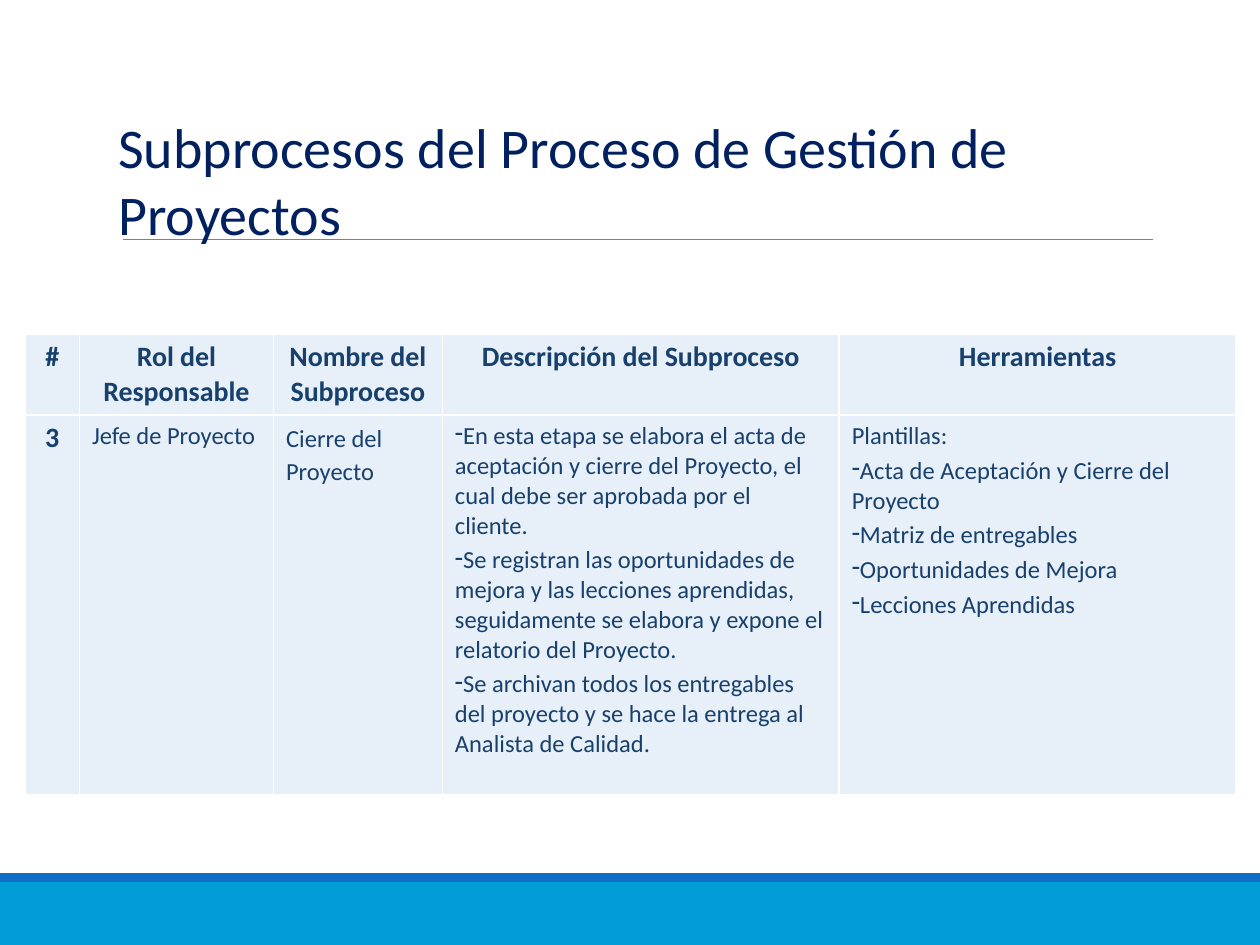
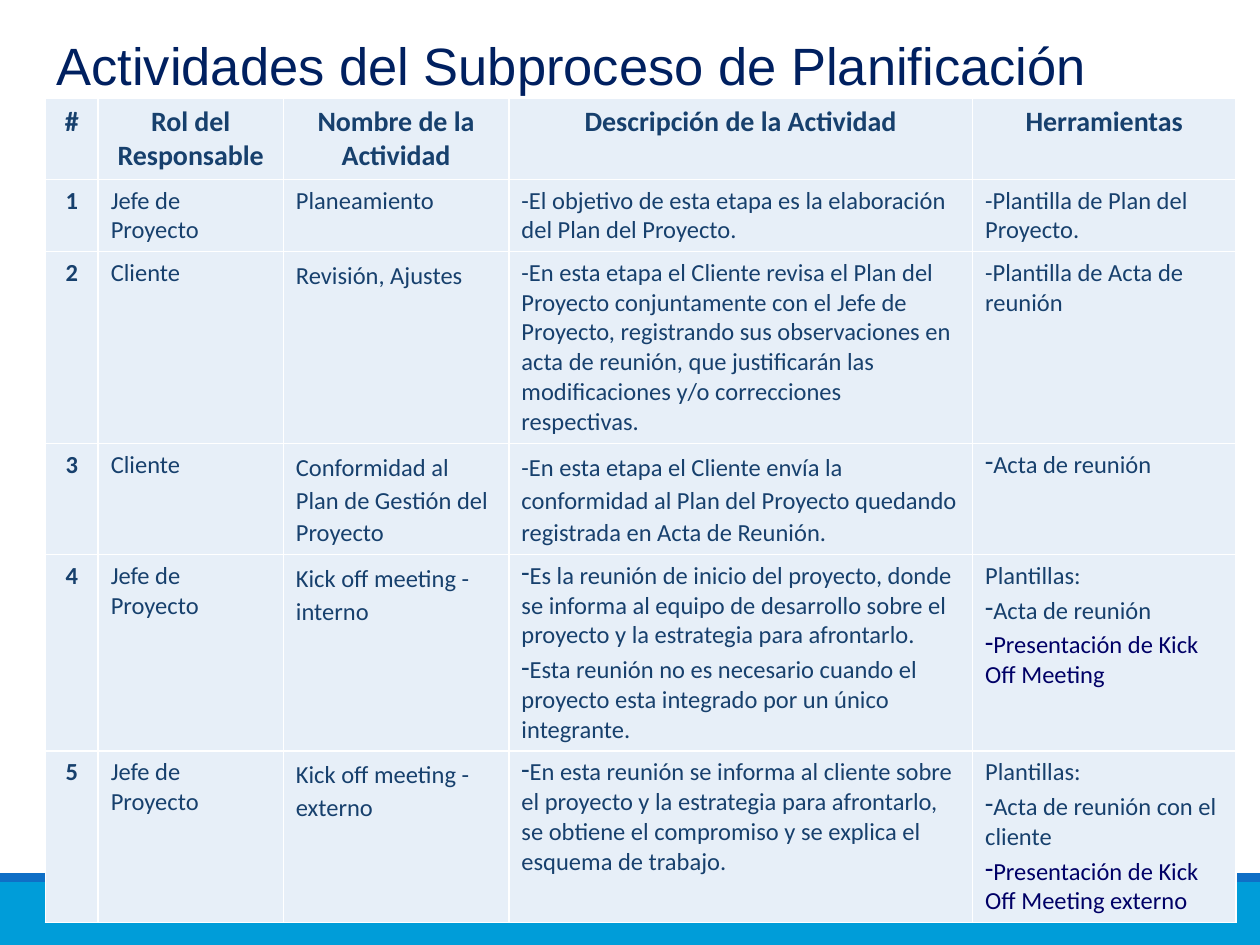
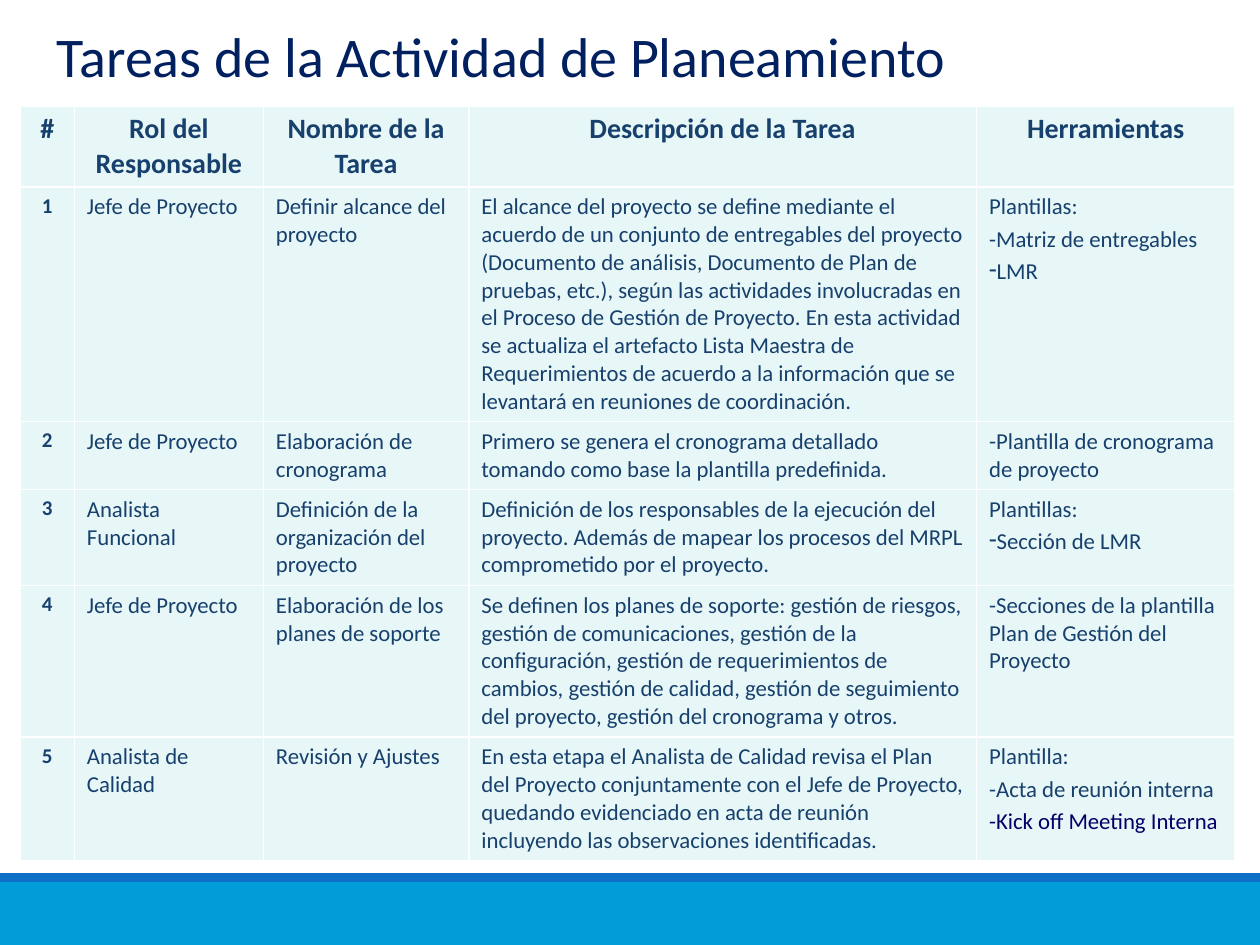
from collections import namedtuple

from lxml import etree
from pptx import Presentation
from pptx import util as u
from pptx.dml.color import RGBColor
from pptx.enum import shapes, text
from pptx.oxml import ns

NAVY = RGBColor(0x00, 0x20, 0x60)
INK = RGBColor(0x17, 0x40, 0x6D)
ACCENT = RGBColor(0x00, 0x00, 0x66)
GRAY = RGBColor(0x80, 0x80, 0x80)
SKY = RGBColor(0x00, 0x9D, 0xD9)
BLUE = RGBColor(0x0F, 0x6F, 0xC6)
PALE_BLUE = RGBColor(0xE7, 0xEF, 0xF8)
PALE_TEAL = RGBColor(0xE7, 0xF7, 0xF8)
BODY_FONT = "Calibri"
HEADER_SIZE = 16
WIDTH, HEIGHT = 720, 540
BANDS = [(504, 36, SKY), (499, 5, BLUE)]

Line = namedtuple("Line", "words bullet loose color", defaults=(False, False, INK))


def dash(words, color=INK):
    return Line(words, bullet=True, color=color)


def loose(words):
    return Line(words, loose=True)


SLIDES = [
    dict(
        title="Subprocesos del Proceso de Gestión de Proyectos",
        title_box=(60.5, 60.5, 599, 84), title_font=("Calibri", 32),
        rule=(70.5, 659, 137),
        corner=(14.4, 190.8), columns=[31, 110.9, 96.5, 226.8, 226.8],
        rows=[45.7, 217.2], fill=PALE_BLUE, number_size=16, body_size=14,
        cells=[
            ["#", "Rol del Responsable", "Nombre del Subproceso",
             "Descripción del Subproceso", "Herramientas"],
            ["3", "Jefe de Proyecto", loose("Cierre del Proyecto"),
             [dash("En esta etapa se elabora el acta de aceptación y cierre del Proyecto, "
                   "el cual debe ser aprobada por el cliente."),
              dash("Se registran las oportunidades de mejora y las lecciones aprendidas, "
                   "seguidamente se elabora y expone el relatorio del Proyecto."),
              dash("Se archivan todos los entregables del proyecto y se hace la entrega "
                   "al Analista de Calidad.")],
             ["Plantillas:", dash("Acta de Aceptación y Cierre del Proyecto"),
              dash("Matriz de entregables"), dash("Oportunidades de Mejora"),
              dash("Lecciones Aprendidas")]],
        ]),
    dict(
        title="Actividades del Subproceso de Planificación",
        title_box=(25.2, 15.1, 606, 43.2), title_font=("Arial", 30),
        rule=None,
        corner=(25.9, 56.2), columns=[30.2, 105.8, 128.9, 265, 150.5],
        rows=[46, 41.3, 109.7, 63.3, 112.2, 98], fill=PALE_BLUE,
        number_size=14, body_size=14,
        cells=[
            ["#", "Rol del Responsable", "Nombre de la Actividad",
             "Descripción de la Actividad", "Herramientas"],
            ["1", "Jefe de Proyecto", "Planeamiento",
             "-El objetivo de esta etapa es la elaboración del Plan del Proyecto.",
             "-Plantilla de Plan del Proyecto."],
            ["2", "Cliente", loose("Revisión, Ajustes"),
             "-En esta etapa el Cliente revisa el Plan del Proyecto conjuntamente con el "
             "Jefe de Proyecto, registrando sus observaciones en acta de reunión, que "
             "justificarán las modificaciones y/o correcciones respectivas.",
             "-Plantilla de Acta de reunión"],
            ["3", "Cliente", loose("Conformidad al Plan de Gestión del Proyecto"),
             loose("-En esta etapa el Cliente envía la conformidad al Plan del Proyecto "
                   "quedando registrada en Acta de Reunión."),
             dash("Acta de reunión")],
            ["4", "Jefe de Proyecto", loose("Kick off meeting - interno"),
             [dash("Es la reunión de inicio del proyecto, donde se informa al equipo de "
                   "desarrollo sobre el proyecto y la estrategia para afrontarlo."),
              dash("Esta reunión no es necesario cuando el proyecto esta integrado por "
                   "un único integrante.")],
             ["Plantillas:", dash("Acta de reunión"),
              dash("Presentación de Kick Off Meeting", ACCENT)]],
            ["5", "Jefe de Proyecto", loose("Kick off meeting - externo"),
             dash("En esta reunión se informa al cliente sobre el proyecto y la estrategia "
                  "para afrontarlo, se obtiene el compromiso y se explica el esquema de "
                  "trabajo."),
             ["Plantillas:", dash("Acta de reunión con el cliente"),
              dash("Presentación de Kick Off Meeting externo", ACCENT)]],
        ]),
    dict(
        title="Tareas de la Actividad de Planeamiento",
        title_box=(25.2, 8.6, 599, 45.4), title_font=("Calibri", 32),
        rule=None,
        corner=(11.5, 60.5), columns=[31, 108, 117.4, 290.2, 147.6],
        rows=[46, 133.9, 38.9, 54.9, 86.3, 70.5], fill=PALE_TEAL,
        number_size=12, body_size=13,
        cells=[
            ["#", "Rol del Responsable", "Nombre de la Tarea",
             "Descripción de la Tarea", "Herramientas"],
            ["1", "Jefe de Proyecto", "Definir alcance del proyecto",
             "El alcance del proyecto se define mediante el acuerdo de un conjunto de "
             "entregables del proyecto (Documento de análisis, Documento de Plan de "
             "pruebas, etc.), según las actividades involucradas en el Proceso de Gestión "
             "de Proyecto. En esta actividad se actualiza el artefacto Lista Maestra de "
             "Requerimientos de acuerdo a la información que se levantará en reuniones de "
             "coordinación.",
             ["Plantillas:", "-Matriz de entregables", dash("LMR")]],
            ["2", "Jefe de Proyecto", "Elaboración de cronograma",
             "Primero se genera el cronograma detallado tomando como base la plantilla "
             "predefinida.",
             "-Plantilla de cronograma de proyecto"],
            ["3", "Analista Funcional", "Definición de la organización del proyecto",
             "Definición de los responsables de la ejecución del proyecto. Además de mapear "
             "los procesos del MRPL comprometido por el proyecto.",
             ["Plantillas:", dash("Sección de LMR")]],
            ["4", "Jefe de Proyecto", "Elaboración de los planes de soporte",
             "Se definen los planes de soporte: gestión de riesgos, gestión de "
             "comunicaciones, gestión de la configuración, gestión de requerimientos de "
             "cambios, gestión de calidad, gestión de seguimiento del proyecto, gestión "
             "del cronograma y otros.",
             "-Secciones de la plantilla Plan de Gestión del Proyecto"],
            ["5", "Analista de Calidad", "Revisión y Ajustes",
             "En esta etapa el Analista de Calidad revisa el Plan del Proyecto "
             "conjuntamente con el Jefe de Proyecto, quedando evidenciado en acta de "
             "reunión incluyendo las observaciones identificadas.",
             ["Plantilla:", "-Acta de reunión interna",
              Line("-Kick off Meeting Interna", color=ACCENT)]],
        ]),
]


def set_font(font, name, size, color, bold=False):
    font.name, font.size, font.bold = name, u.Pt(size), bold
    font.color.rgb = color


def add_bands(slide):
    for top, height, color in BANDS:
        band = slide.shapes.add_shape(
            shapes.MSO_SHAPE.RECTANGLE, 0, u.Pt(top), u.Pt(WIDTH), u.Pt(height))
        band.shadow.inherit = False
        band.fill.solid()
        band.fill.fore_color.rgb = color
        band.line.fill.background()


def add_rule(slide, left, right, y):
    rule = slide.shapes.add_connector(
        shapes.MSO_CONNECTOR.STRAIGHT, u.Pt(left), u.Pt(y), u.Pt(right), u.Pt(y))
    rule.line.color.rgb = GRAY
    rule.line.width = u.Pt(0.5)
    etree.SubElement(rule._element.spPr, ns.qn("a:effectLst"))


def add_title(slide, words, box, font):
    frame = slide.shapes.add_textbox(*map(u.Pt, box)).text_frame
    frame.word_wrap = True
    title = frame.paragraphs[0]
    title.text = words
    set_font(title.font, *font, NAVY)


def add_borders(cell):
    properties = cell._tc.get_or_add_tcPr()
    for position, side in enumerate(("lnL", "lnR", "lnT", "lnB")):
        border = etree.Element(ns.qn(f"a:{side}"), w=str(u.Pt(1)))
        fill = etree.SubElement(border, ns.qn("a:solidFill"))
        etree.SubElement(fill, ns.qn("a:srgbClr"), val="FFFFFF")
        properties.insert(position, border)


def fill_cell(cell, content, size, strong, fill):
    cell.fill.solid()
    cell.fill.fore_color.rgb = fill
    add_borders(cell)
    lines = content if isinstance(content, list) else [content]
    frame = cell.text_frame
    for index, line in enumerate(lines):
        line = Line(line) if isinstance(line, str) else line
        paragraph = frame.add_paragraph() if index else frame.paragraphs[0]
        paragraph.text = line.words
        set_font(paragraph.font, BODY_FONT, size, line.color, strong)
        if strong:
            paragraph.alignment = text.PP_ALIGN.CENTER
        if line.loose:
            paragraph.line_spacing = 1.1
        else:
            paragraph.space_before = u.Pt(0.2 * size)
        if line.bullet:
            properties = paragraph._p.get_or_add_pPr()
            bullet = etree.Element(ns.qn("a:buChar"), char="-")
            properties.insert(list(properties).index(properties.find(ns.qn("a:defRPr"))), bullet)


def add_grid(slide, page):
    columns, rows = page["columns"], page["rows"]
    box = (*page["corner"], sum(columns), sum(rows))
    grid = slide.shapes.add_table(len(rows), len(columns), *map(u.Pt, box)).table
    grid.first_row = grid.horz_banding = False
    for column, width in zip(grid.columns, columns):
        column.width = u.Pt(width)
    for row, height in zip(grid.rows, rows):
        row.height = u.Pt(height)
    for r, contents in enumerate(page["cells"]):
        for c, content in enumerate(contents):
            strong = r == 0 or c == 0
            size = HEADER_SIZE if r == 0 else page["number_size" if c == 0 else "body_size"]
            fill_cell(grid.cell(r, c), content, size, strong, page["fill"])


def main():
    deck = Presentation()
    deck.slide_width, deck.slide_height = u.Pt(WIDTH), u.Pt(HEIGHT)
    for page in SLIDES:
        slide = deck.slides.add_slide(deck.slide_layouts[6])
        add_bands(slide)
        if page["rule"]:
            add_rule(slide, *page["rule"])
        add_grid(slide, page)
        add_title(slide, page["title"], page["title_box"], page["title_font"])
    deck.save("out.pptx")


if __name__ == "__main__":
    main()
